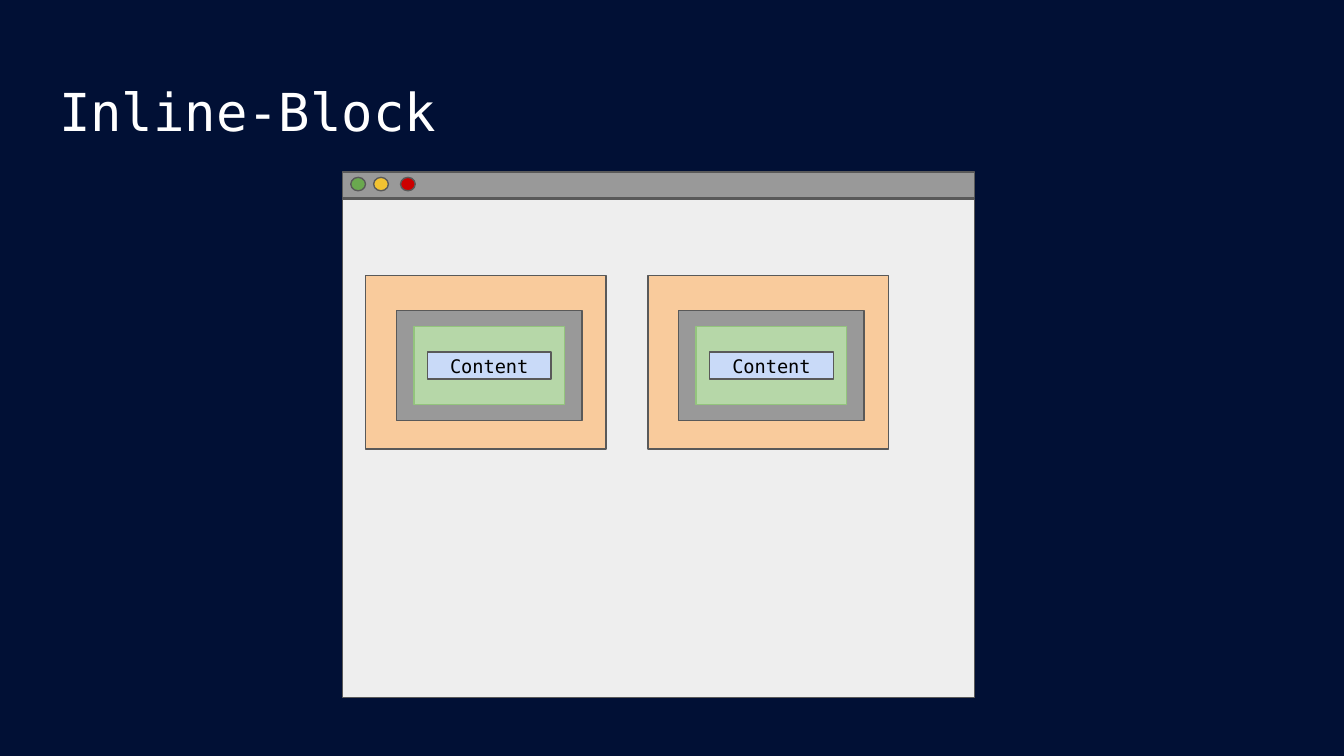
from typing import NamedTuple

import pptx
import pptx.dml.color
import pptx.enum.shapes
import pptx.enum.text
import pptx.util

Inches = pptx.util.Inches
Pt = pptx.util.Pt
MSO_SHAPE = pptx.enum.shapes.MSO_SHAPE
MSO_ANCHOR = pptx.enum.text.MSO_ANCHOR
PP_ALIGN = pptx.enum.text.PP_ALIGN

FONT = "DejaVu Sans Mono"
OUTLINE = "595959"


class Part(NamedTuple):
    """A filled outline shape, in inches."""
    left: float
    top: float
    width: float
    height: float
    fill: str
    line: str = OUTLINE
    text: str = ""


# Layers of the box model: margin, border, padding, content
BOX_LAYERS = [
    Part(2.72, 2.05, 1.79, 1.29, "F9CB9C"),
    Part(2.95, 2.31, 1.38, 0.82, "999999"),
    Part(3.08, 2.43, 1.12, 0.58, "B6D7A8", line="93C47D"),
    Part(3.18, 2.62, 0.92, 0.2, "C9DAF8", text="Content"),
]
BOX_PITCH = 2.1

WINDOW_BODY = Part(2.55, 1.48, 4.7, 3.71, "EEEEEE")
WINDOW_BAR = Part(2.55, 1.28, 4.7, 0.19, "999999")
WINDOW_BUTTONS = [(2.61, "6AA84F"), (2.78, "F1C232"), (2.98, "CC0000")]


def rgb(color: str) -> pptx.dml.color.RGBColor:
    return pptx.dml.color.RGBColor.from_string(color)


def set_text(tf, text: str, size: float, color: str) -> None:
    tf.text = text
    tf.word_wrap = True
    tf.margin_left = tf.margin_right = Inches(0.1)
    tf.margin_top = tf.margin_bottom = Inches(0.1)
    font = tf.paragraphs[0].runs[0].font
    font.name = FONT
    font.size = Pt(size)
    font.color.rgb = rgb(color)


def draw_part(s, part: Part, shape=MSO_SHAPE.RECTANGLE) -> None:
    sp = s.shapes.add_shape(shape, Inches(part.left), Inches(part.top),
                            Inches(part.width), Inches(part.height))
    sp.shadow.inherit = False
    sp.fill.solid()
    sp.fill.fore_color.rgb = rgb(part.fill)
    sp.line.color.rgb = rgb(part.line)
    sp.line.width = Pt(0.75)
    if part.text:
        tf = sp.text_frame
        set_text(tf, part.text, 10, "000000")
        tf.vertical_anchor = MSO_ANCHOR.MIDDLE
        tf.paragraphs[0].alignment = PP_ALIGN.CENTER


def draw_title(s, text: str) -> None:
    sp = s.shapes.title
    sp.left, sp.top = Inches(0.34), Inches(0.49)
    sp.width, sp.height = Inches(9.32), Inches(0.63)
    tf = sp.text_frame
    set_text(tf, text, 28, "FFFFFF")
    tf.auto_size = pptx.enum.text.MSO_AUTO_SIZE.NONE
    tf.vertical_anchor = MSO_ANCHOR.TOP
    tf.paragraphs[0].alignment = PP_ALIGN.LEFT


def main() -> None:
    # Widescreen 16:9 slide
    prs = pptx.Presentation()
    prs.slide_width = Inches(10)
    prs.slide_height = Inches(10) * 9 // 16
    s = prs.slides.add_slide(prs.slide_layouts[5])
    s.background.fill.solid()
    s.background.fill.fore_color.rgb = rgb("011035")

    draw_title(s, "Inline-Block")

    # Browser window with two boxes side by side
    draw_part(s, WINDOW_BODY)
    for i in range(2):
        for layer in BOX_LAYERS:
            draw_part(s, layer._replace(left=layer.left + i * BOX_PITCH))

    # Title bar and its buttons
    draw_part(s, WINDOW_BAR)
    for left, color in WINDOW_BUTTONS:
        draw_part(s, Part(left, 1.32, 0.11, 0.1, color), MSO_SHAPE.OVAL)

    prs.save("out.pptx")


if __name__ == "__main__":
    main()
